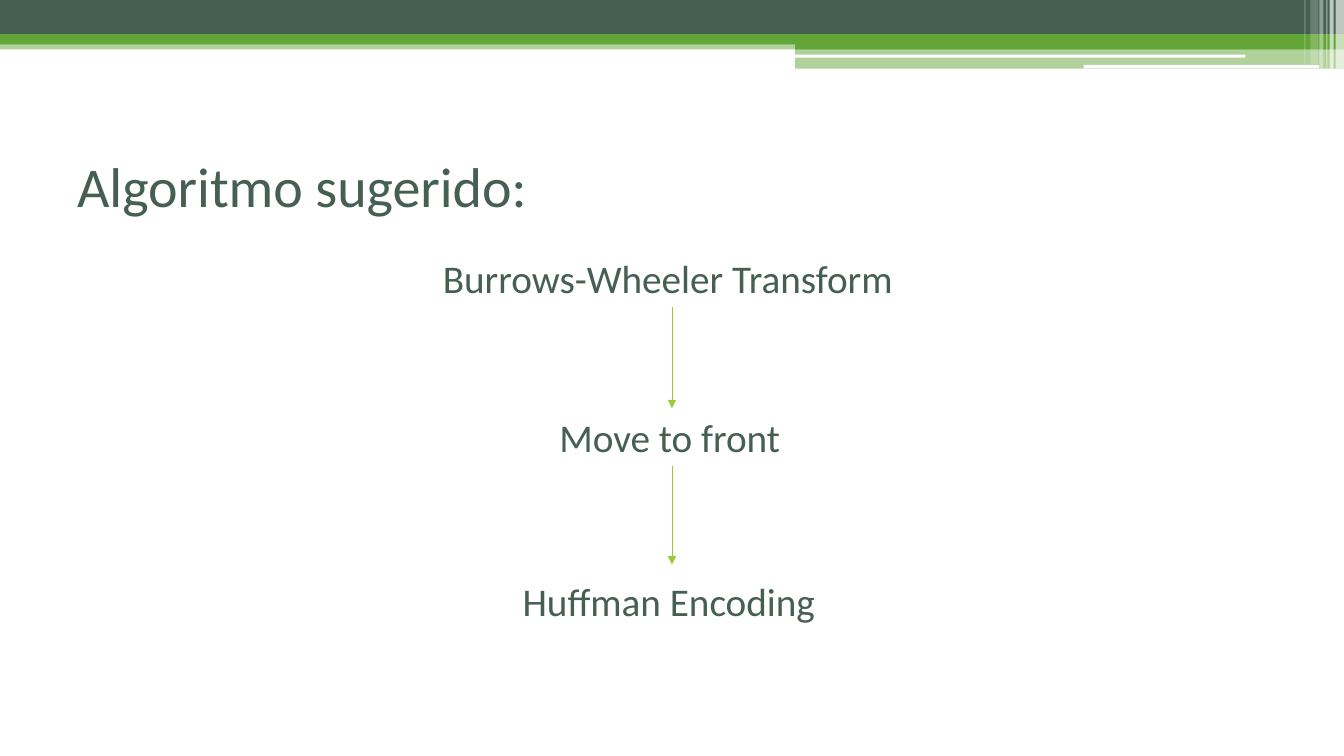
from dataclasses import dataclass

from lxml.etree import SubElement
from pptx import Presentation
from pptx.dml.color import RGBColor
from pptx.enum.shapes import MSO_CONNECTOR, MSO_SHAPE
from pptx.enum.text import MSO_ANCHOR, MSO_AUTO_SIZE
from pptx.oxml.ns import qn
from pptx.util import Pt


@dataclass(frozen=True)
class Theme:
    """Colours, font and type sizes of the slide."""
    dark: str = "455F51"
    green: str = "63A537"
    lime: str = "99CB38"
    white: str = "FFFFFF"
    font: str = "Calibri"
    title_size: float = 40
    step_size: float = 28
    arrow_width: float = 0.5


class SlideBuilder:
    """Draws styled elements on the current slide, with lengths in points."""

    def __init__(self, page, theme):
        self.page = page
        self.theme = theme

    def bar(self, left, top, width, height, color, opacity=100, kind=MSO_SHAPE.RECTANGLE):
        """Draw a borderless bar."""
        bar = self.page.shapes.add_shape(kind, Pt(left), Pt(top), Pt(width), Pt(height))
        bar.shadow.inherit = False
        bar.line.fill.background()
        bar.fill.solid()
        bar.fill.fore_color.rgb = RGBColor.from_string(color)
        if opacity < 100:
            tint = bar._element.spPr.find(qn("a:solidFill"))[0]
            SubElement(tint, qn("a:alpha"), val=str(opacity * 1000))

    def text(self, words, left, top, width, height, size, anchor=MSO_ANCHOR.TOP):
        """Draw a text box and return it."""
        box = self.page.shapes.add_textbox(Pt(left), Pt(top), Pt(width), Pt(height))
        frame = box.text_frame
        frame.word_wrap = True
        if anchor == MSO_ANCHOR.TOP:
            frame.auto_size = MSO_AUTO_SIZE.SHAPE_TO_FIT_TEXT
        frame.vertical_anchor = anchor
        frame.text = words
        font = frame.paragraphs[0].runs[0].font
        font.name = self.theme.font
        font.size = Pt(size)
        font.color.rgb = RGBColor.from_string(self.theme.dark)
        return box

    def arrow(self, x, top, bottom, source, target=None):
        """Draw a downward arrow from a box, joined to a target box if given."""
        arrow = self.page.shapes.add_connector(
            MSO_CONNECTOR.STRAIGHT, Pt(x), Pt(top), Pt(x), Pt(bottom))
        arrow.begin_connect(source, 2)
        if target is not None:
            arrow.end_connect(target, 0)
        arrow.line.color.rgb = RGBColor.from_string(self.theme.lime)
        arrow.line.width = Pt(self.theme.arrow_width)
        SubElement(arrow.line._get_or_add_ln(), qn("a:tailEnd"), type="triangle")
        SubElement(arrow._element.spPr, qn("a:effectLst"))


def draw_header(builder):
    """Draw the banded header with its white stripes."""
    theme = builder.theme
    builder.bar(0, 28.8, 960, 6.5, theme.green, 50)
    builder.bar(0, 0, 960, 24.5, theme.dark)
    builder.bar(0, 24.5, 960, 7.2, theme.green)
    builder.bar(568, 28.1, 392, 7.2, theme.green)
    builder.bar(568, 34.9, 392, 14.1, theme.green, 50)
    for left, top, width, height in [(567.5, 39.1, 322, 2.16), (774, 46.3, 168, 2.6)]:
        builder.bar(left, top, width, height, theme.white, kind=MSO_SHAPE.ROUNDED_RECTANGLE)
    stripes = [(954, 6, 49, 65), (949.7, 2.9, 49, 65), (947.5, 0.72, 49, 60),
               (942.5, 2.9, 49, 40), (936, 5.8, 46, 20), (931.7, 0.72, 46, 30)]
    for left, width, height, opacity in stripes:
        builder.bar(left, 0, width, height, theme.white, opacity)


def draw_steps(builder):
    """Draw the three algorithm steps and the arrows between them."""
    center, height, last_tip = 480, 41.2, 403.2
    steps = [("Burrows-Wheeler Transform", 177.8, 341.4),
             ("Move to front", 291.6, 175),
             ("Huffman Encoding", 409, 227.6)]
    first, second, _ = [
        builder.text(words, center - width / 2, top, width, height, builder.theme.step_size)
        for words, top, width in steps]
    builder.arrow(center, first.top.pt + height, second.top.pt, first, second)
    builder.arrow(center, second.top.pt + height, last_tip, second)


def main():
    """Build and save the deck."""
    deck = Presentation()
    deck.slide_width, deck.slide_height = Pt(960), Pt(540)
    page = deck.slides.add_slide(deck.slide_layouts[6])
    builder = SlideBuilder(page, Theme())
    draw_header(builder)
    builder.text("Algoritmo sugerido:", 48, 90, 864, 84, builder.theme.title_size,
                 MSO_ANCHOR.MIDDLE)
    draw_steps(builder)
    deck.save("out.pptx")


if __name__ == "__main__":
    main()
